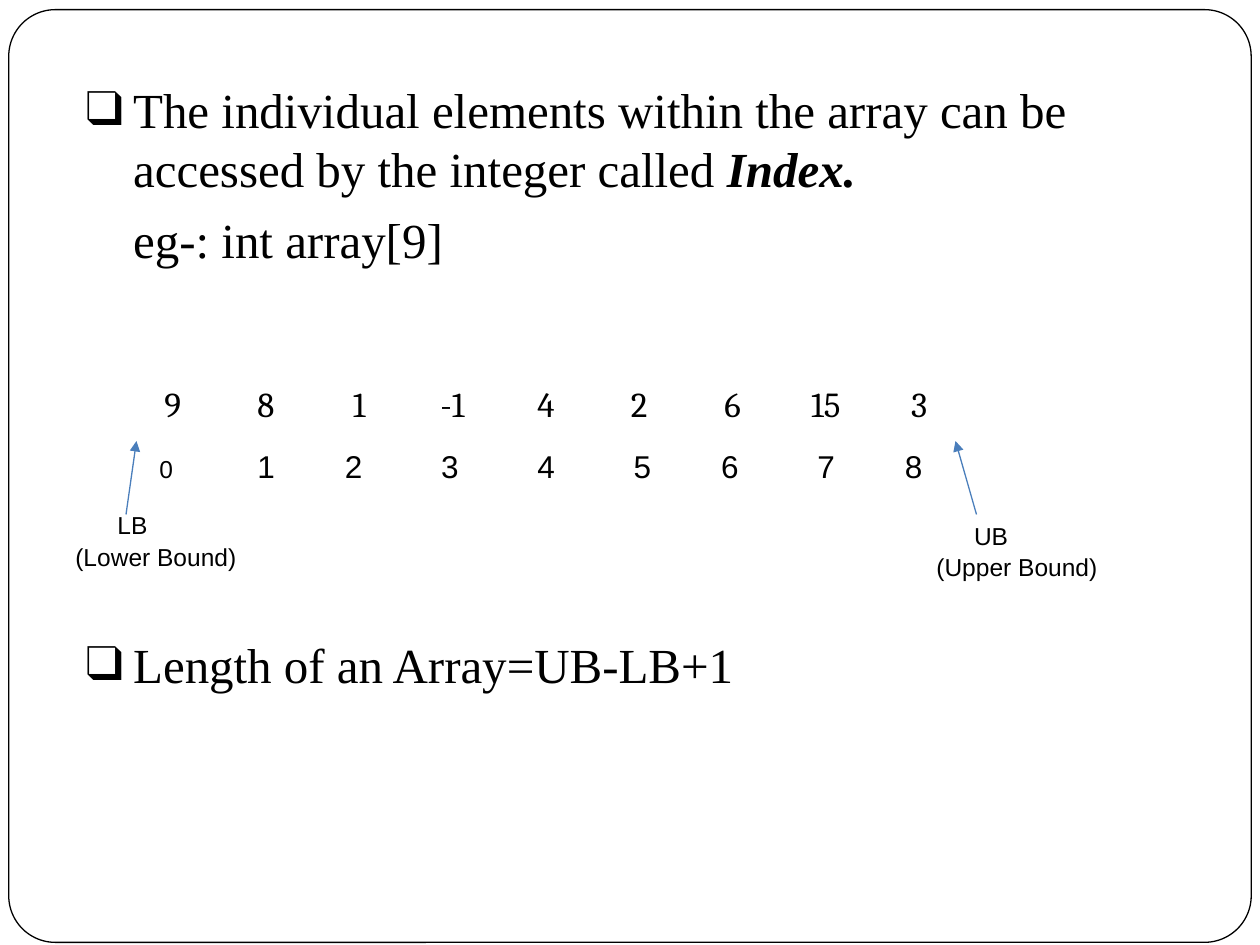
import pptx
import pptx.util
import pptx.dml.color
import pptx.enum.shapes
import pptx.enum.text
import pptx.oxml
import pptx.oxml.ns

Pt = pptx.util.Pt
qn = pptx.oxml.ns.qn
rgb = pptx.dml.color.RGBColor.from_string


def add_run(paragraph, text, size, font="Arial"):
    run = paragraph.add_run()
    run.text = text
    run.font.size = Pt(size)
    run.font.name = font
    run.font.color.rgb = rgb("000000")
    return run


def add_child(parent, tag, **attributes):
    child = pptx.oxml.parse_xml(f'<{tag} {pptx.oxml.ns.nsdecls("a")}/>')
    for key, value in attributes.items():
        child.set(key, str(value))
    parent.append(child)
    return child


deck = pptx.Presentation()
deck.slide_width = Pt(720)
deck.slide_height = Pt(540)
slide = deck.slides.add_slide(deck.slide_layouts[6])
shapes = slide.shapes

frame = shapes.add_shape(pptx.enum.shapes.MSO_SHAPE.ROUNDED_RECTANGLE,
                         Pt(5), Pt(5.5), Pt(710), Pt(533))
frame.adjustments[0] = 0.05
frame.shadow.inherit = False
frame.fill.solid()
frame.fill.fore_color.rgb = rgb("FFFFFF")
frame.line.color.rgb = rgb("000000")
frame.line.width = Pt(0.75)

explanation = shapes.add_textbox(Pt(42), Pt(42), Pt(588), Pt(392)).text_frame
explanation.word_wrap = True
points = [
    (True, 0, [("The individual elements within the array can be accessed "
                "by the integer called ", False), ("Index.", True)]),
    (False, 7, [("eg-: int array[9]", False)]),
    (True, 209, [("Length of an Array=UB-LB+1", False)]),
]
for number, (bulleted, gap, parts) in enumerate(points):
    point = explanation.paragraphs[0] if number == 0 else explanation.add_paragraph()
    properties = point._p.get_or_add_pPr()
    properties.set("marL", str(Pt(27)))
    properties.set("indent", str(Pt(-27 if bulleted else 0)))
    if bulleted:
        add_child(add_child(properties, "a:buClr"), "a:srgbClr", val="000000")
        add_child(properties, "a:buFont", typeface="Times New Roman")
        add_child(properties, "a:buChar", char="❑")
    if gap:
        point.space_before = Pt(gap)
    for text, emphasised in parts:
        run = add_run(point, text, 28, "Times New Roman")
        run.font.bold = run.font.italic = emphasised

values = ["9", "8", "1", "-1", "4", "2", "6", "15", "3"]
array = shapes.add_table(1, len(values), Pt(72), Pt(216), Pt(480), Pt(32)).table
array.first_row = False
array.horz_banding = False
for column, value in enumerate(values):
    array.columns[column].width = Pt(53.33)
    cell = array.cell(0, column)
    cell.fill.solid()
    cell.fill.fore_color.rgb = rgb("FFFFFF")
    cell.margin_top = Pt(5)
    entry = cell.text_frame.paragraphs[0]
    entry.alignment = pptx.enum.text.PP_ALIGN.CENTER
    entry.line_spacing = 0.96
    add_run(entry, value, 20, "Cambria")

index_frame = shapes.add_textbox(Pt(84), Pt(252), Pt(462), Pt(29.5)).text_frame
index_frame.word_wrap = True
indices = index_frame.paragraphs[0]
tab_list = add_child(indices._p.get_or_add_pPr(), "a:tabLst")
for position in (61, 111, 166, 221, 276, 326, 381, 431):
    add_child(tab_list, "a:tab", pos=Pt(position), algn="ctr")
add_run(indices, "0", 14)
for index in range(1, len(values)):
    add_run(indices, f"\t{index}", 18)

for start, end in ((72, 78), (558, 546)):
    arrow = shapes.add_connector(pptx.enum.shapes.MSO_CONNECTOR.STRAIGHT,
                                 Pt(start), Pt(294), Pt(end), Pt(252))
    arrow.line.color.rgb = rgb("4A7EBB")
    arrow.line.width = Pt(0.75)
    add_child(arrow.line._ln, "a:tailEnd", type="triangle")
    add_child(arrow._element.spPr, "a:effectLst")

bounds = [
    ("(Lower Bound)", 36, 306, 144),
    ("LB", 60, 288, 60),
    ("UB", 549.5, 294, 56.5),
    ("(Upper Bound)", 528, 312, 150),
]
for text, left, top, width in bounds:
    bound = shapes.add_textbox(Pt(left), Pt(top), Pt(width), Pt(29)).text_frame
    bound.word_wrap = True
    add_run(bound.paragraphs[0], text, 14)

deck.save("out.pptx")
